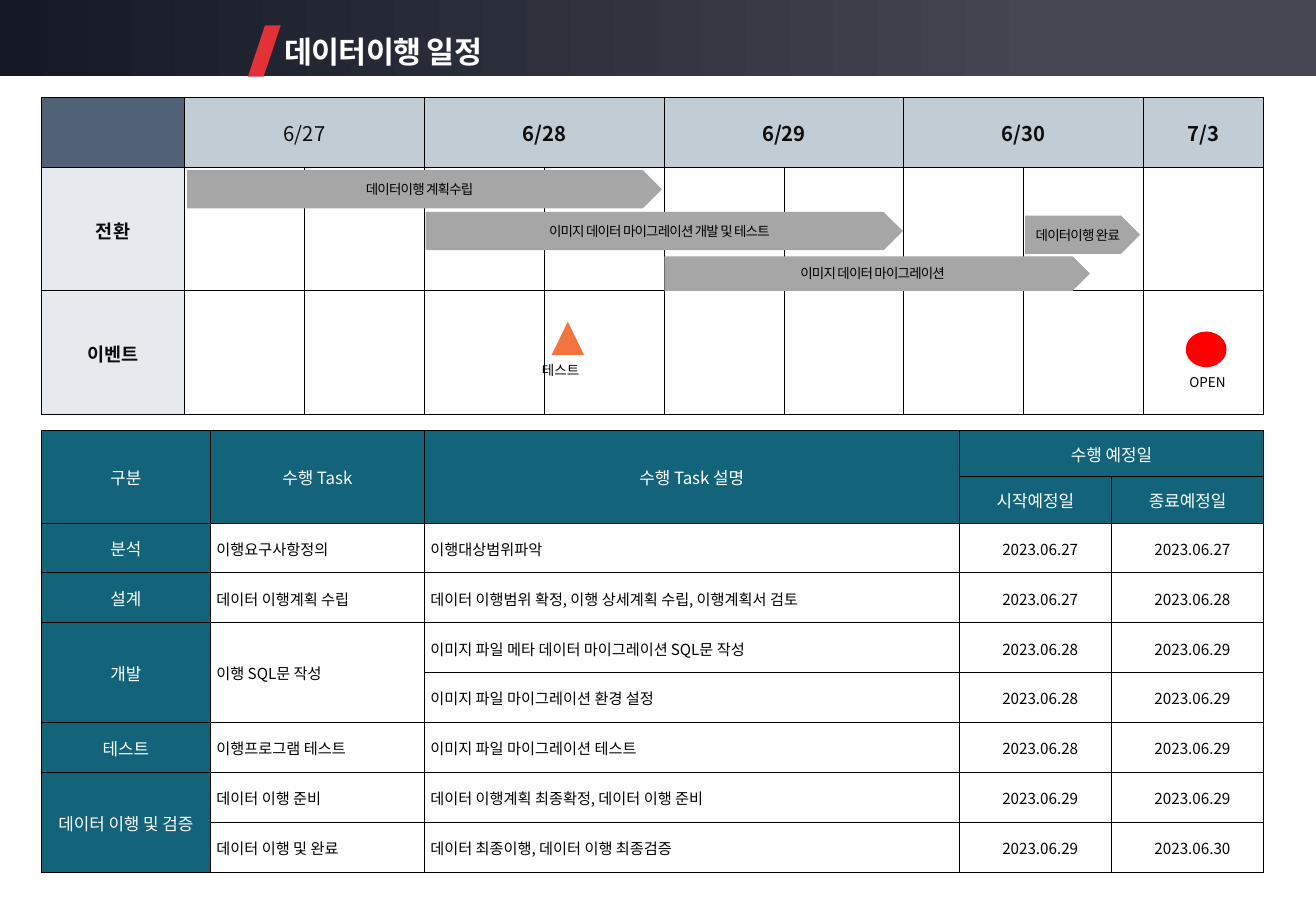
from dataclasses import dataclass

from lxml import etree
from pptx import Presentation
from pptx.dml.color import RGBColor
from pptx.enum.shapes import MSO_SHAPE
from pptx.enum.text import MSO_ANCHOR, MSO_AUTO_SIZE, PP_ALIGN
from pptx.oxml.ns import qn
from pptx.util import Emu, Inches, Pt

RECTANGLE, SLANT = MSO_SHAPE.RECTANGLE, MSO_SHAPE.PARALLELOGRAM
BAR, TRIANGLE, CIRCLE = MSO_SHAPE.PENTAGON, MSO_SHAPE.ISOSCELES_TRIANGLE, MSO_SHAPE.OVAL
LEFT, CENTER = PP_ALIGN.LEFT, PP_ALIGN.CENTER
MIDDLE, TOP = MSO_ANCHOR.MIDDLE, MSO_ANCHOR.TOP
NO_FIT = MSO_AUTO_SIZE.NONE
TITLE_ONLY = 5


@dataclass(frozen=True)
class Theme:
    font: str = "Noto Sans CJK KR"
    white: str = "FFFFFF"
    black: str = "000000"
    band_light: str = "444651"
    band_dark: str = "151826"
    accent: str = "E23137"
    corner: str = "516277"
    day: str = "C2CCD4"
    day_text: str = "0D0D0D"
    lane: str = "E6EAEE"
    bar: str = "A6A6A6"
    teal: str = "13637A"
    test: str = "F3743E"
    opening: str = "FF0000"
    title_size: float = 18
    day_size: float = 12
    lane_size: float = 11
    head_size: float = 10
    body_size: float = 9
    label_size: float = 8
    border: float = 0.5


THEME = Theme()


@dataclass(frozen=True)
class Grid:
    """Origin and cell size in percent of the slide."""
    left: float = 0
    top: float = 0
    column: float = 1
    row: float = 1

    def place(self, left, top, width, height):
        return (self.left + left * self.column, self.top + top * self.row,
                width * self.column, height * self.row)


SLIDE = Grid()
DAYS = Grid(left=14.04, top=18.4, column=9.11, row=13.53)


class Page:
    def __init__(self, deck, theme):
        self.theme = theme
        self.width, self.height = deck.slide_width, deck.slide_height
        self.slide = deck.slides.add_slide(deck.slide_layouts[TITLE_ONLY])
        self.shapes = self.slide.shapes

    def across(self, percent):
        return Emu(round(self.width * percent / 100))

    def down(self, percent):
        return Emu(round(self.height * percent / 100))

    def box(self, grid, place):
        left, top, width, height = grid.place(*place)
        return self.across(left), self.down(top), self.across(width), self.down(height)

    def add_text(self, frame, text, size, color, bold=False, align=LEFT, spacing=0):
        para = frame.paragraphs[0]
        para.alignment = align
        span = para.add_run()
        span.text = text
        for name, value in {"size": Pt(size), "bold": bold, "name": self.theme.font}.items():
            setattr(span.font, name, value)
        span.font.color.rgb = RGBColor.from_string(color)
        props = span._r.get_or_add_rPr()
        etree.SubElement(props, qn("a:ea"), typeface=self.theme.font)
        if spacing:
            props.set("spc", str(spacing))

    def title(self, text, place):
        title = self.shapes.title
        names = ("left", "top", "width", "height")
        for name, value in zip(names, self.box(SLIDE, place)):
            setattr(title, name, value)
        frame = title.text_frame
        for name, value in {"auto_size": NO_FIT, "word_wrap": True,
                            "vertical_anchor": MIDDLE}.items():
            setattr(frame, name, value)
        self.add_text(frame, text, self.theme.title_size, self.theme.white, True, spacing=-40)
        title._element.getparent().append(title._element)

    def shape(self, kind, grid, place, color, text=""):
        shape = self.shapes.add_shape(kind, *self.box(grid, place))
        shape.shadow.inherit = False
        shape.line.fill.background()
        shape.fill.solid()
        shape.fill.fore_color.rgb = RGBColor.from_string(color)
        if text:
            frame = shape.text_frame
            for name in ("margin_left", "margin_top", "margin_right", "margin_bottom"):
                setattr(frame, name, 0)
            frame.word_wrap, frame.vertical_anchor = True, MIDDLE
            self.add_text(frame, text, self.theme.label_size, self.theme.black,
                          align=CENTER, spacing=-50)
        return shape

    def band(self, place):
        fill = self.shape(RECTANGLE, SLIDE, place, self.theme.band_dark).fill
        fill.gradient()
        fill.gradient_angle = 180
        stops = ((0.2, self.theme.band_light), (1, self.theme.band_dark))
        for stop, (position, color) in zip(fill.gradient_stops, stops):
            stop.position = position
            stop.color.rgb = RGBColor.from_string(color)

    def label(self, grid, place, text):
        frame = self.shapes.add_textbox(*self.box(grid, place)).text_frame
        frame.word_wrap, frame.vertical_anchor = True, TOP
        self.add_text(frame, text, self.theme.label_size, self.theme.black)

    def table(self, left, top, columns, rows, merges):
        place = (left, top, sum(columns), sum(rows))
        table = self.shapes.add_table(len(rows), len(columns), *self.box(SLIDE, place)).table
        table.first_row = table.horz_banding = False
        for column, width in zip(table.columns, columns):
            column.width = self.across(width)
        for row, height in zip(table.rows, rows):
            row.height = self.down(height)
        for cell in table.iter_cells():
            self.style_cell(cell, self.theme.white)
        for first, last in merges:
            table.cell(*first).merge(table.cell(*last))
        return table

    def style_cell(self, cell, color):
        props = cell._tc.get_or_add_tcPr()
        for side in ("a:lnL", "a:lnR", "a:lnT", "a:lnB"):
            line = etree.SubElement(props, qn(side), w=str(int(Pt(self.theme.border))))
            fill = etree.SubElement(line, qn("a:solidFill"))
            etree.SubElement(fill, qn("a:srgbClr"), val=self.theme.black)
        cell.fill.solid()
        cell.fill.fore_color.rgb = RGBColor.from_string(color)

    def fill_cell(self, cell, text, fill, size, color, bold=False, align=CENTER, indent=0):
        cell.fill.fore_color.rgb = RGBColor.from_string(fill)
        for name, value in {"margin_left": Inches(0.01 + indent), "margin_right": Inches(0.01),
                            "margin_top": Inches(0.01), "margin_bottom": 0,
                            "vertical_anchor": MIDDLE}.items():
            setattr(cell, name, value)
        if text:
            self.add_text(cell.text_frame, text, size, color, bold, align)


DATES = ("6/27", "6/28", "6/29", "6/30", "7/3")
LANES = ("전환", "이벤트")
BARS = (
    ((0.02, 0.02, 3.96, 0.31), "데이터이행 계획수립"),
    ((2.01, 0.36, 3.98, 0.31), "이미지 데이터 마이그레이션 개발 및 테스트"),
    ((4, 0.72, 3.55, 0.28), "이미지 데이터 마이그레이션"),
    ((7.01, 0.39, 0.96, 0.31), "데이터이행 완료"),
)
TASK_HEADS = (
    ("구분", "수행 Task", "수행 Task 설명", "수행 예정일", ""),
    ("", "", "", "시작예정일", "종료예정일"),
)
TASKS = (
    ("분석", "이행요구사항정의", "이행대상범위파악", "2023.06.27", "2023.06.27"),
    ("설계", "데이터 이행계획 수립", "데이터 이행범위 확정, 이행 상세계획 수립, 이행계획서 검토",
     "2023.06.27", "2023.06.28"),
    ("개발", "이행 SQL문 작성", "이미지 파일 메타 데이터 마이그레이션 SQL문 작성",
     "2023.06.28", "2023.06.29"),
    ("", "", "이미지 파일 마이그레이션 환경 설정", "2023.06.28", "2023.06.29"),
    ("테스트", "이행프로그램 테스트", "이미지 파일 마이그레이션 테스트", "2023.06.28", "2023.06.29"),
    ("데이터 이행 및 검증", "데이터 이행 준비", "데이터 이행계획 최종확정, 데이터 이행 준비",
     "2023.06.29", "2023.06.29"),
    ("", "데이터 이행 및 완료", "데이터 최종이행, 데이터 이행 최종검증", "2023.06.29", "2023.06.30"),
)
TASK_MERGES = [((0, column), (1, column)) for column in range(3)] + [
    ((0, 3), (0, 4)), ((4, 0), (5, 0)), ((4, 1), (5, 1)), ((7, 0), (8, 0))]


def add_schedule(page):
    theme = page.theme
    merges = [((0, column), (0, column + 1)) for column in range(1, 8, 2)]
    table = page.table(3.14, 10.67, [10.9] + [DAYS.column] * 9, [7.73] + [DAYS.row] * 2, merges)
    page.fill_cell(table.cell(0, 0), "", theme.corner, theme.day_size, theme.white)
    for index, date in enumerate(DATES):
        page.fill_cell(table.cell(0, 1 + 2 * index), date, theme.day, theme.day_size,
                       theme.day_text, bold=index > 0)
    for row, lane in enumerate(LANES, 1):
        page.fill_cell(table.cell(row, 0), lane, theme.lane, theme.lane_size,
                       theme.day_text, bold=True)
    for place, text in BARS:
        page.shape(BAR, DAYS, place, theme.bar, text)
    page.shape(TRIANGLE, DAYS, (3.06, 1.25, 0.27, 0.27), theme.test)
    page.label(DAYS, (2.88, 1.53, 0.87, 0.34), "테스트")
    page.shape(CIRCLE, DAYS, (8.35, 1.33, 0.34, 0.29), theme.opening)
    page.label(DAYS, (8.28, 1.63, 0.6, 0.34), "OPEN")


def add_tasks(page):
    theme = page.theme
    table = page.table(3.14, 47.2, [12.84, 16.26, 40.65, 11.57, 11.57],
                       [5.1] * 2 + [5.49] * 7, TASK_MERGES)
    head = (theme.teal, theme.head_size, theme.white)
    body = (theme.white, theme.body_size, theme.black)
    for row, texts in enumerate(TASK_HEADS + TASKS):
        for column, text in enumerate(texts):
            cell = table.cell(row, column)
            if row < len(TASK_HEADS) or column == 0:
                page.fill_cell(cell, text, *head)
            elif column < 3:
                page.fill_cell(cell, text, *body, align=LEFT, indent=0.04)
            else:
                page.fill_cell(cell, text, *body, indent=0.08)


def main():
    deck = Presentation()
    deck.slide_width, deck.slide_height = Inches(10.83), Inches(7.5)
    page = Page(deck, THEME)
    page.band((0, 0, 100, 8.4))
    slash = page.shape(SLANT, SLIDE, (18.84, 2.8, 2.49, 5.6), THEME.accent)
    slash.adjustments[0] = 0.52
    page.title("데이터이행 일정", (20.68, 3.33, 59.37, 4.53))
    add_schedule(page)
    add_tasks(page)
    deck.save("out.pptx")


if __name__ == "__main__":
    main()
